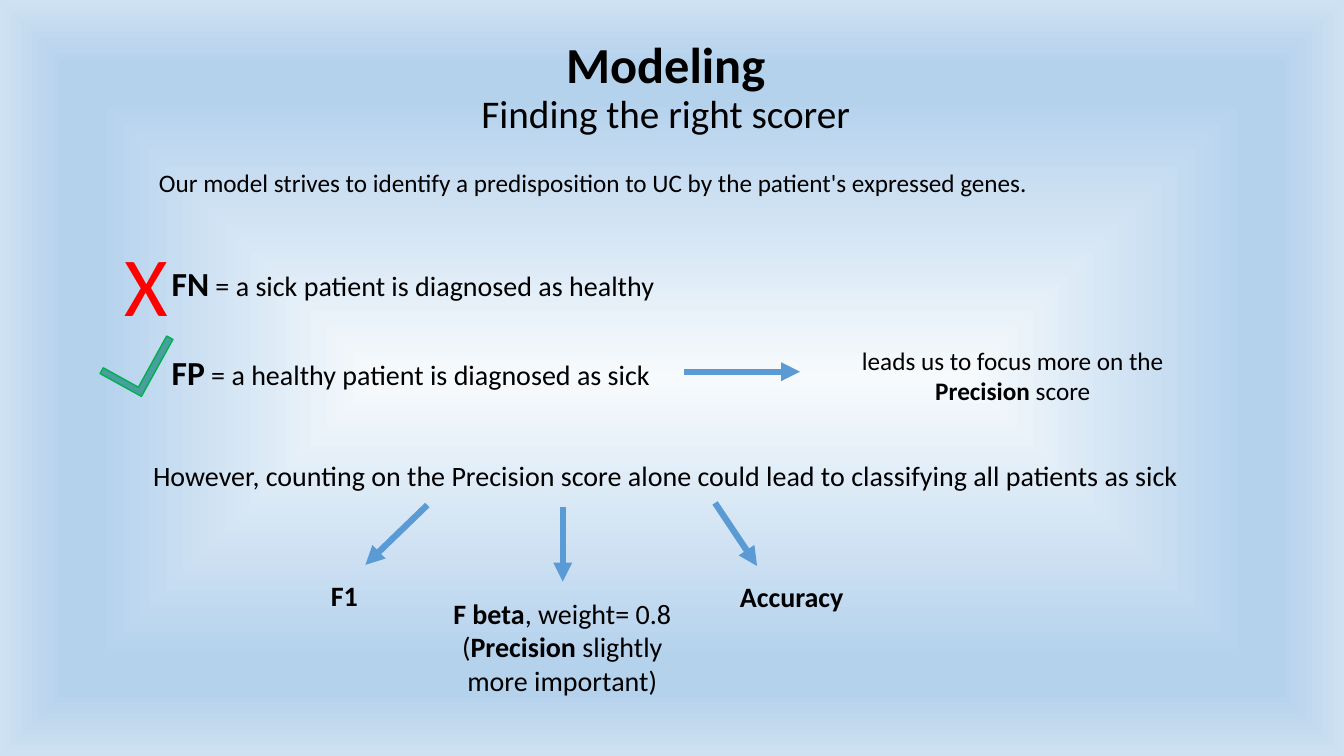
from collections import namedtuple
from dataclasses import dataclass

from lxml.etree import SubElement
from pptx import Presentation
from pptx.dml.color import RGBColor
from pptx.enum.shapes import MSO_CONNECTOR, MSO_SHAPE
from pptx.enum.text import MSO_ANCHOR, MSO_AUTO_SIZE, PP_ALIGN
from pptx.oxml import parse_xml
from pptx.oxml.ns import nsdecls, qn
from pptx.util import Pt

PX = 9525


@dataclass(frozen=True)
class Theme:
    """Colours, type sizes and font of the slide."""
    font: str = "Calibri"
    ink: str = "000000"
    wrong: str = "FF0000"
    tick_fill: str = "499E9E"
    tick_line: str = "00B050"
    arrow: str = "5B9BD5"
    backdrop: tuple = ((0, "F7FAFD"), (74, "B5D2EC"), (83, "B5D2EC"), (100, "CEE1F2"))
    title: int = 36
    subtitle: int = 28
    term: int = 24
    body: int = 20
    note: int = 18
    mark: int = 60


THEME = Theme()


class Box(namedtuple("Box", "left top width height")):
    """A rectangle in px."""

    def inner(self, left, top, width, height):
        """Return a box placed relative to this one."""
        return Box(self.left + left, self.top + top, width, height)

    def emu(self):
        """Return the four lengths in EMU."""
        return [length * PX for length in self]


def add_spans(para, spans, size, color, align):
    """Fill a paragraph with (text, bold) spans, each with an optional own size."""
    para.alignment = align
    for text, bold, *own_size in spans:
        span = para.add_run()
        span.text = text
        span.font.name = THEME.font
        span.font.bold = bold
        span.font.size = Pt(own_size[0] if own_size else size)
        span.font.color.rgb = RGBColor.from_string(color)


def add_text(page, box, *lines, size=THEME.body, color=THEME.ink, align=PP_ALIGN.CENTER):
    """Add a text box with one paragraph for each list of spans."""
    frame = page.shapes.add_textbox(*box.emu()).text_frame
    frame.word_wrap = True
    for index, spans in enumerate(lines):
        para = frame.add_paragraph() if index else frame.paragraphs[0]
        add_spans(para, spans, size, color, align)


def add_arrow(page, box, start, end):
    """Draw an arrow between two points given relative to the box."""
    points = [(box.left + x, box.top + y) for x, y in (start, end)]
    ends = [length * PX for point in points for length in point]
    arrow = page.shapes.add_connector(MSO_CONNECTOR.STRAIGHT, *ends)
    arrow.line.color.rgb = RGBColor.from_string(THEME.arrow)
    arrow.line.width = Pt(4.5)
    SubElement(arrow.line._get_or_add_ln(), qn("a:tailEnd"), type="triangle")
    SubElement(arrow._element.spPr, qn("a:effectLst"))


def paint_backdrop(page):
    """Give the page a gradient that spreads from its centre."""
    stops = "".join(
        f'<a:gs pos="{place * 1000}"><a:srgbClr val="{color}"/></a:gs>'
        for place, color in THEME.backdrop
    )
    gradient = parse_xml(
        f'<a:gradFill {nsdecls("a")} rotWithShape="1"><a:gsLst>{stops}</a:gsLst>'
        '<a:path path="shape"><a:fillToRect l="50000" t="50000" r="50000" b="50000"/>'
        "</a:path></a:gradFill>"
    )
    page.background.fill.solid()
    solid = next(page._element.iter(qn("a:solidFill")))
    solid.getparent().replace(solid, gradient)


def add_heading(page, box):
    """Place the title and its subtitle line."""
    title = page.shapes.title
    title.left, title.top, title.width, title.height = box.emu()
    frame = title.text_frame
    frame.auto_size = MSO_AUTO_SIZE.NONE
    frame.vertical_anchor = MSO_ANCHOR.MIDDLE
    para = frame.paragraphs[0]
    para.line_spacing = 0.9
    add_spans(para, [("Modeling", True)], THEME.title, THEME.ink, PP_ALIGN.CENTER)
    para.add_line_break()
    line_break = para._p.find(qn("a:br"))
    SubElement(line_break, qn("a:rPr"), sz=str(THEME.title * 100))
    add_spans(para, [("Finding the right scorer", False)],
              THEME.subtitle, THEME.ink, PP_ALIGN.CENTER)


def add_tick(page, box):
    """Draw a tick from a turned corner shape."""
    tick = page.shapes.add_shape(MSO_SHAPE.CORNER, *box.emu())
    tick.adjustments[0], tick.adjustments[1] = 0.15, 0.14
    tick.rotation = 298.9
    tick.shadow.inherit = False
    tick.fill.solid()
    tick.fill.fore_color.rgb = RGBColor.from_string(THEME.tick_fill)
    tick.line.color.rgb = RGBColor.from_string(THEME.tick_line)
    tick.line.width = Pt(1)


def add_errors(page, box):
    """Place the model's aim, both kinds of error and the resulting focus."""
    aim = "Our model strives to identify a predisposition to UC by the patient's expressed genes."
    add_text(page, box.inner(44, 0, 856, 38), [(aim, False)],
             size=THEME.note, align=PP_ALIGN.LEFT)
    errors = (
        ("FN", " = a sick patient is diagnosed as healthy"),
        ("FP", " = a healthy patient is diagnosed as sick"),
    )
    for row, (term, meaning) in enumerate(errors):
        add_text(page, box.inner(56, 91 + 84 * row, 570, 48),
                 [(term, True, THEME.term), (meaning, False)], align=PP_ALIGN.LEFT)
    add_text(page, box.inner(0, 62, 83, 107), [("X", False)],
             size=THEME.mark, color=THEME.wrong)
    add_tick(page, box.inner(1, 162, 62, 45))
    add_arrow(page, box, (553, 199), (664, 199))
    add_text(page, box.inner(682, 169, 369, 68),
             [("leads us to focus more on the ", False), ("Precision", True), (" score", False)],
             size=THEME.note)


def add_scorers(page, box):
    """Place the caveat and the three scorers it points to."""
    caveat = ("However, counting on the Precision score alone could lead to "
              "classifying all patients as sick")
    add_text(page, box.inner(0, 0, box.width, 42), [(caveat, False)])
    scorers = (
        ((288, 49), (229, 106), (119, 114, 180, 42), [[("F1", True)]]),
        ((417, 51), (417, 122), (299, 131, 235, 107), [
            [("F beta", True), (", weight= 0.8", False)],
            [("(", False), ("Precision", True), (" slightly more important)", False)],
        ]),
        ((562, 47), (602, 107), (545, 115, 180, 42), [[("Accuracy", True)]]),
    )
    for start, end, place, lines in scorers:
        add_arrow(page, box, start, end)
        add_text(page, box.inner(*place), *lines)


def main():
    """Build and save the slide."""
    deck = Presentation()
    deck.slide_width, deck.slide_height = 1280 * PX, 720 * PX
    page = deck.slides.add_slide(deck.slide_layouts.get_by_name("Title Only"))
    paint_backdrop(page)
    add_heading(page, Box(82, 15, 1104, 139))
    add_errors(page, Box(98, 155, 1051, 237))
    add_scorers(page, Box(119, 432, 1030, 238))
    deck.save("out.pptx")


if __name__ == "__main__":
    main()
